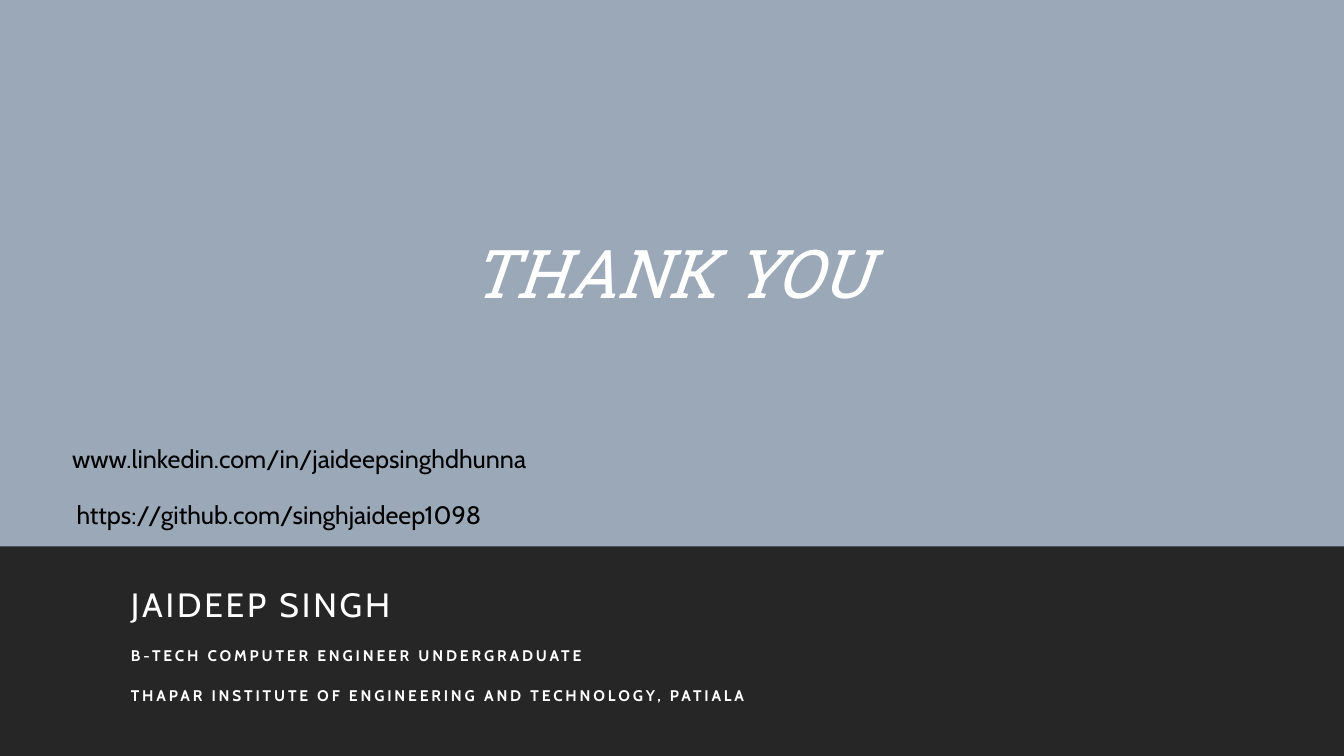
from dataclasses import dataclass, field

from pptx import Presentation
from pptx import util as u
from pptx.dml.color import RGBColor
from pptx.enum import shapes, text

WIDTH, HEIGHT = 33.87, 19.05
BAND_TOP = 13.77
BLUE, DARK, WHITE, BLACK = "9BA8B7", "262626", "FFFFFF", "000000"


@dataclass
class Panel:
    top: float
    height: float
    color: str


@dataclass
class Line:
    words: str
    style: dict = field(default_factory=dict)


@dataclass
class TextBlock:
    left: float
    top: float
    width: float
    height: float
    lines: list[Line]
    anchor: text.MSO_ANCHOR = text.MSO_ANCHOR.TOP


def rgb(color: str) -> RGBColor:
    return RGBColor.from_string(color)


def draw_panel(page, panel: Panel) -> None:
    box = page.shapes.add_shape(
        shapes.MSO_SHAPE.RECTANGLE, 0, u.Cm(panel.top), u.Cm(WIDTH), u.Cm(panel.height)
    )
    box.shadow.inherit = False
    box.fill.solid()
    box.fill.fore_color.rgb = rgb(panel.color)
    box.line.fill.background()


def write_line(para, words: str, *, size: float, color: str = WHITE, font: str = "Cabin",
               bold: bool = False, italic: bool = False, tracking: float = 0,
               align: text.PP_ALIGN = text.PP_ALIGN.LEFT, spacing: float = 1,
               before: float = 0, after: float = 0) -> None:
    para.alignment = align
    para.line_spacing = spacing
    para.space_before = u.Pt(before)
    para.space_after = u.Pt(after)
    span = para.add_run()
    span.text = words
    span.font.name = font
    span.font.size = u.Pt(size)
    span.font.bold = bold
    span.font.italic = italic
    span.font.color.rgb = rgb(color)
    if tracking:
        span._r.get_or_add_rPr().set("spc", str(round(tracking * 100)))


def draw_text(page, block: TextBlock) -> None:
    box = page.shapes.add_textbox(
        u.Cm(block.left), u.Cm(block.top), u.Cm(block.width), u.Cm(block.height)
    )
    frame = box.text_frame
    frame.word_wrap = True
    frame.vertical_anchor = block.anchor
    for index, line in enumerate(block.lines):
        para = frame.add_paragraph() if index else frame.paragraphs[0]
        write_line(para, line.words, **line.style)


TITLE = dict(size=48, font="Roboto Slab", italic=True, tracking=-0.5,
             align=text.PP_ALIGN.CENTER, spacing=0.9)
NAME = dict(size=24, tracking=2, spacing=1.1, after=2)
DETAIL = NAME | dict(size=11, bold=True, before=12)
LINK = dict(size=18, color=BLACK)

PANELS = [
    Panel(0, HEIGHT, BLUE),
    Panel(BAND_TOP, HEIGHT - BAND_TOP, DARK),
]

BLOCKS = [
    TextBlock(2.92, 1.57, 27.94, 10.82, [Line("THANK YOU", TITLE)], text.MSO_ANCHOR.MIDDLE),
    TextBlock(3.05, 14.5, 27.94, 3.73, [
        Line("JAIDEEP SINGH", NAME),
        Line("B-TECH COMPUTER ENGINEER UNDERGRADUATE", DETAIL),
        Line("THAPAR INSTITUTE OF ENGINEERING AND TECHNOLOGY, PATIALA", DETAIL),
    ]),
    TextBlock(1.57, 11.05, 16.94, 1.02, [Line("www.linkedin.com/in/jaideepsinghdhunna", LINK)]),
    TextBlock(1.68, 12.45, 15.77, 1.02, [Line("https://github.com/singhjaideep1098", LINK)]),
]


def main() -> None:
    deck = Presentation()
    deck.slide_width, deck.slide_height = u.Cm(WIDTH), u.Cm(HEIGHT)
    page = deck.slides.add_slide(deck.slide_layouts[6])
    for panel in PANELS:
        draw_panel(page, panel)
    for block in BLOCKS:
        draw_text(page, block)
    deck.save("out.pptx")


if __name__ == "__main__":
    main()
